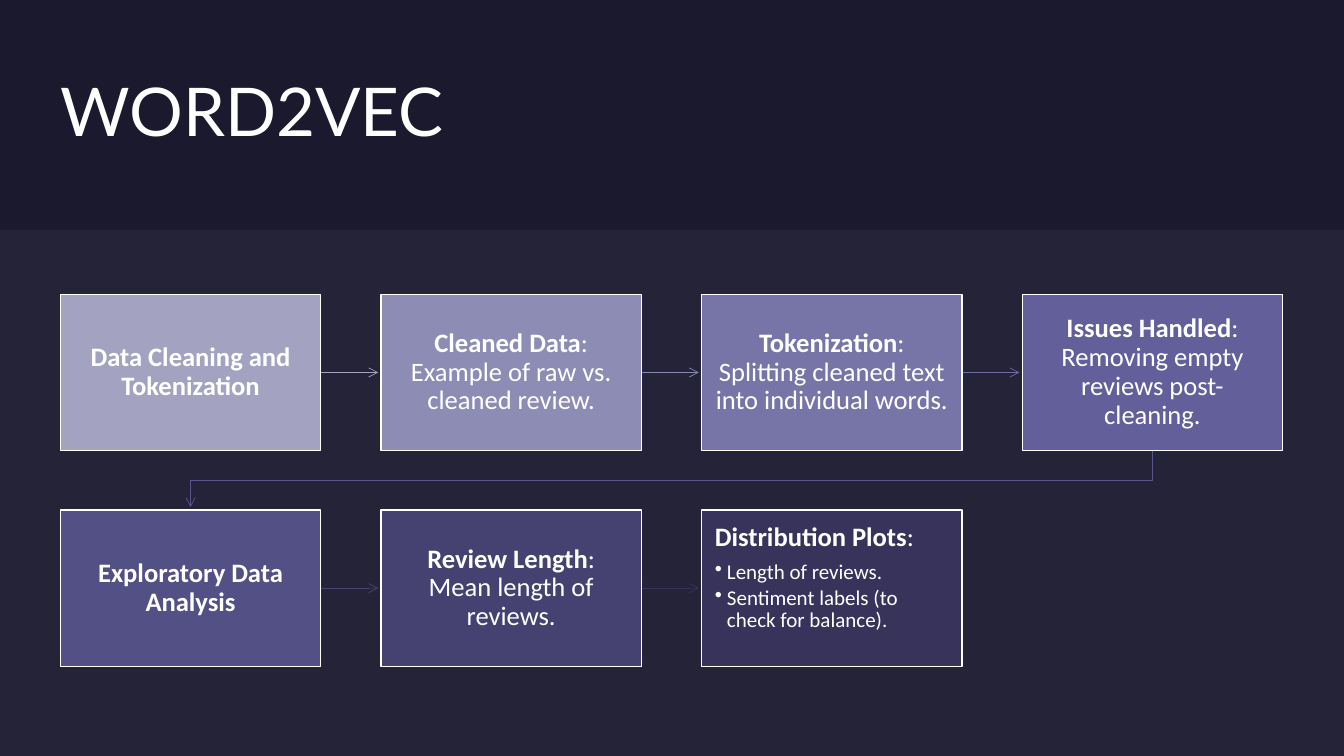
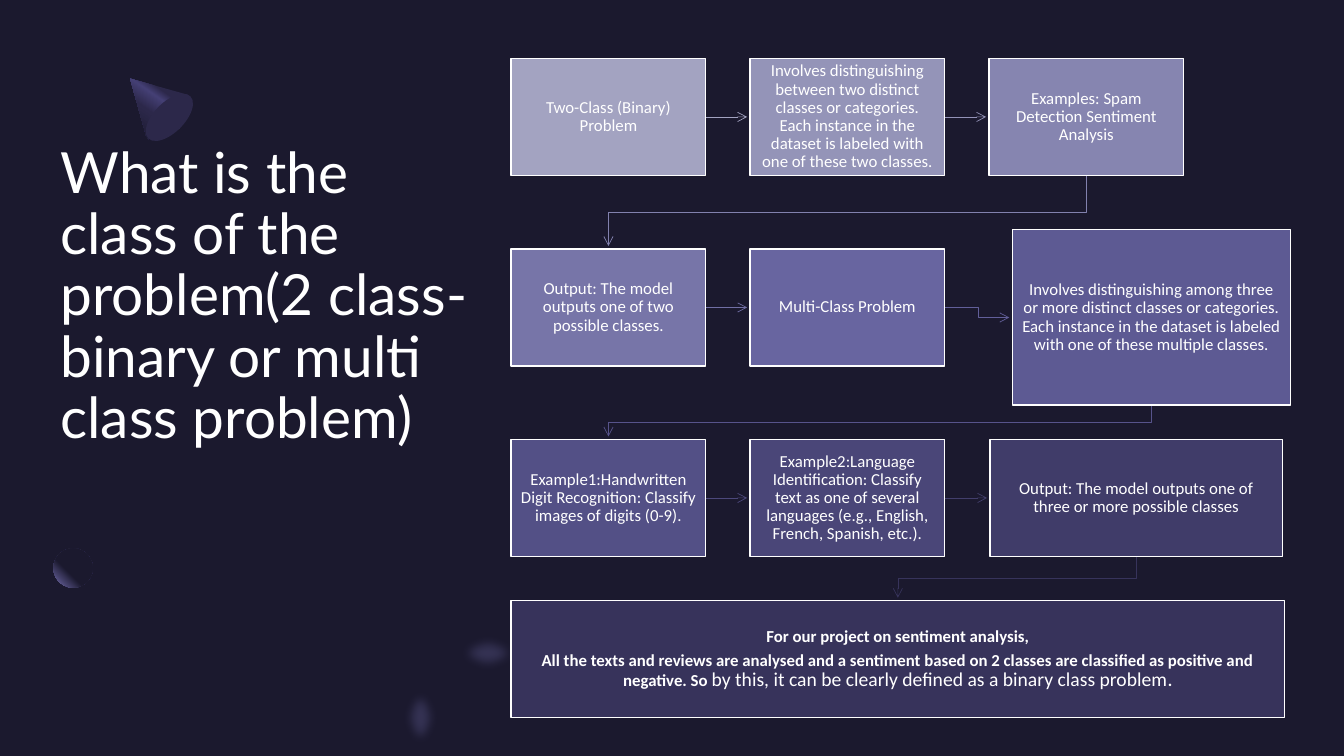
from dataclasses import dataclass

from lxml import etree
from pptx import Presentation
from pptx.dml.color import RGBColor
from pptx.enum import shapes as s, text as t
from pptx.oxml import parse_xml
from pptx.oxml.ns import nsdecls, qn
from pptx.util import Inches, Pt


@dataclass(frozen=True)
class Theme:
    back: str = "1B192E"
    band: str = "E4E3F0"
    white: str = "FFFFFF"
    dark: str = "2C284A"
    mid: str = "454075"
    glow: str = "7771B2"
    head: str = "Lato"
    body: str = "Calibri"
    big: float = 48
    long: float = 40.5
    step: float = 19
    item: float = 15
    small: float = 12
    note: float = 14


T = Theme()
GAP = 0.03  # space between an arrow tip and its box


@dataclass
class Step:
    box: tuple
    fill: str
    link: str  # colour of the arrow to the next step
    paras: list  # each paragraph is a list of (words, bold, size) runs


def rgb(code):
    return RGBColor.from_string(code)


# ---- Shared drawing helpers ----

def place(shape, box):
    shape.left, shape.top, shape.width, shape.height = map(Inches, box)


def paint(shape, code, alpha=None):
    shape.shadow.inherit = False
    shape.line.fill.background()
    shape.fill.solid()
    shape.fill.fore_color.rgb = rgb(code)
    if alpha is not None:
        tint = shape._element.spPr.find(".//" + qn("a:srgbClr"))
        etree.SubElement(tint, qn("a:alpha"), val=str(alpha * 1000))


def blend(shape, stops, way):
    """Swap the solid fill for a gradient; way is its direction element."""
    paint(shape, T.back)
    marks = "".join(f'<a:gs pos="{pos * 1000}"><a:srgbClr val="{code}"/></a:gs>'
                    for pos, code in stops)
    props = shape._element.spPr
    props.replace(props.find(qn("a:solidFill")), parse_xml(
        f'<a:gradFill {nsdecls("a")} rotWithShape="1">'
        f'<a:gsLst>{marks}</a:gsLst>{way}</a:gradFill>'))


def soften(shape, size):
    props = shape._element.spPr
    props.find(qn("a:effectLst")).append(parse_xml(
        f'<a:softEdge {nsdecls("a")} rad="{Inches(size)}"/>'))


def trace(slide, points, close):
    start, *rest = [(Inches(x), Inches(y)) for x, y in points]
    path = slide.shapes.build_freeform(*start)
    path.add_line_segments(rest, close=close)
    return path.convert_to_shape()


def style(para, size, font):
    para.line_spacing = 0.9
    para.font.name = font
    para.font.size = Pt(size)
    para.font.color.rgb = rgb(T.white)


def bullet(para):
    props = para._p.get_or_add_pPr()
    props.set("marL", str(Inches(0.12)))
    props.set("indent", str(Inches(-0.12)))
    etree.SubElement(props, qn("a:buChar"), char="•")


def title(slide, words, box, size):
    shape = slide.shapes.title
    place(shape, box)
    frame = shape.text_frame
    frame.text = words
    frame.word_wrap = True
    frame.auto_size = t.MSO_AUTO_SIZE.NONE
    frame.vertical_anchor = t.MSO_ANCHOR.MIDDLE
    frame.margin_left = frame.margin_right = 0
    frame.margin_top = frame.margin_bottom = 0
    para = frame.paragraphs[0]
    para.alignment = t.PP_ALIGN.LEFT
    style(para, size, T.head)


# ---- Flow chart parts ----

def card(slide, step, pad, listed=False):
    """One box; a listed box has a heading and bullets."""
    shape = slide.shapes.add_shape(s.MSO_SHAPE.RECTANGLE,
                                   *map(Inches, step.box))
    paint(shape, step.fill)
    shape.line.color.rgb = rgb(T.white)
    shape.line.width = Pt(1)
    frame = shape.text_frame
    frame.word_wrap = True
    frame.margin_left = frame.margin_right = Inches(pad[0])
    frame.margin_top = frame.margin_bottom = Inches(pad[1])
    frame.vertical_anchor = (t.MSO_ANCHOR.TOP if listed
                             else t.MSO_ANCHOR.MIDDLE)
    for row, runs in enumerate(step.paras):
        para = frame.add_paragraph() if row else frame.paragraphs[0]
        para.alignment = t.PP_ALIGN.LEFT if listed else t.PP_ALIGN.CENTER
        if row:
            share = 0.15 if listed and row > 1 else 0.35
            para.space_before = Pt(round(share * step.paras[row - 1][0][2], 1))
        if listed and row:
            bullet(para)
        style(para, runs[0][2], T.body)
        for words, bold, size in runs:
            run = para.add_run()
            run.text = words
            run.font.bold = bold
            if size != runs[0][2]:
                run.font.size = Pt(size)


def route(a, b):
    """Points from box a to box b: across in a row, else down and back."""
    ax, ay, aw, ah = a
    bx, by, bw, bh = b
    if bx > ax + aw:
        x, y, end = ax + aw, ay + ah / 2, by + bh / 2
        if abs(y - end) < 0.01:
            return [(x, y), (bx - GAP, y)]
        mid = (x + bx) / 2
        return [(x, y), (mid, y), (mid, end), (bx - GAP, end)]
    x, y, end = ax + aw / 2, ay + ah, bx + bw / 2
    mid = (y + by) / 2
    return [(x, y), (x, mid), (end, mid), (end, by - GAP)]


def arrow(slide, points, code):
    if len(points) == 2:
        line = slide.shapes.add_connector(
            s.MSO_CONNECTOR.STRAIGHT,
            *(Inches(n) for point in points for n in point))
        etree.SubElement(line._element.spPr, qn("a:effectLst"))
    else:
        line = trace(slide, points, False)
        line.shadow.inherit = False
        line.fill.background()
    line.line.color.rgb = rgb(code)
    line.line.width = Pt(0.5)
    etree.SubElement(line.line._get_or_add_ln(), qn("a:tailEnd"), type="arrow")


def flow(slide, steps, pad, listed=None):
    for a, b in zip(steps, steps[1:]):
        arrow(slide, route(a.box, b.box), a.link)
    for step in steps:
        card(slide, step, pad, step is listed)


# ---- Slide 1: process in two rows ----

def process(slide):
    title(slide, "WORD2VEC", (0.6, 0.6, 7.99, 1.08), T.big)
    band = slide.shapes.add_shape(
        s.MSO_SHAPE.RECTANGLE, *map(Inches, (0, 2.28, 13.33, 5.22)))
    paint(band, T.band, 5)

    rows = [
        ("A3A3C1", "A3A3C1", "Data Cleaning and Tokenization", ""),
        ("8D8CB4", "8988B1", "Cleaned Data",
         ": Example of raw vs. cleaned review."),
        ("7775A8", "6E6CA3", "Tokenization",
         ": Splitting cleaned text into individual words."),
        ("625F9A", "59568E", "Issues Handled",
         ": Removing empty reviews post-cleaning."),
        ("535086", "484475", "Exploratory Data Analysis", ""),
        ("454171", "37335B", "Review Length", ": Mean length of reviews."),
        ("37335B", "", "Distribution Plots", ":"),
    ]
    steps = []
    for n, (fill, link, lead, rest) in enumerate(rows):
        row, col = divmod(n, 4)
        runs = [(lead, True, T.step)]
        if rest:
            runs.append((rest, False, T.step))
        box = (0.6 + col * 3.18, 2.92 + row * 2.14, 2.58, 1.55)
        steps.append(Step(box, fill, link, [runs]))
    plots = steps[-1]
    for words in ("Length of reviews.",
                  "Sentiment labels (to check for balance)."):
        plots.paras.append([(words, False, T.item)])
    flow(slide, steps, (0.13, 0.13), plots)


# ---- Slide 2: title at left, steps at right ----

def decor(slide):
    # Cone
    cone = trace(slide, [(1.29, 0.78), (1.86, 0.94), (1.88, 0.96),
                         (1.78, 1.27), (1.47, 1.38), (1.45, 1.35)], True)
    blend(cone, [(30, T.dark), (40, T.mid), (60, T.dark), (100, T.back)],
          '<a:lin ang="7500000" scaled="0"/>')

    def oval(box):
        return slide.shapes.add_shape(s.MSO_SHAPE.OVAL, *map(Inches, box))

    base = oval((1.53, 0.87, 0.3, 0.59))
    base.rotation = 45
    paint(base, T.dark)
    # Ball
    blend(oval((0.53, 5.44, 0.39, 0.39)), [(60, T.back), (100, T.glow)],
          '<a:path path="circle"><a:fillToRect l="100000" b="100000"/></a:path>')
    # Soft glows
    for box in ((4.5, 6.28, 0.68, 0.4), (3.97, 6.78, 0.4, 0.68)):
        glow = oval(box)
        paint(glow, T.glow, 30)
        soften(glow, 0.1)


def classes(slide):
    title(slide, "What is the class of the problem(2 class-binary or multi "
          "class problem)", (0.6, 1.35, 4.09, 3.2), T.long)
    decor(slide)

    rows = [
        ("A3A3C1", "A3A3C1", "Two-Class (Binary) Problem"),
        ("9494B8", "9392B7", "Involves distinguishing between two distinct "
         "classes or categories. Each instance in the dataset is labeled "
         "with one of these two classes."),
        ("8685B0", "8281AE", "Examples: Spam Detection Sentiment Analysis"),
        ("7775A8", "716FA5",
         "Output: The model outputs one of two possible classes."),
        ("6865A0", "625F9A", "Multi-Class Problem"),
        ("5D5A93", "57538B", "Involves distinguishing among three or more "
         "distinct classes or categories. Each instance in the dataset is "
         "labeled with one of these multiple classes."),
        ("535086", "4C487B", "Example1:Handwritten Digit Recognition: "
         "Classify images of digits (0-9)."),
        ("4A4678", "423E6B", "Example2:Language Identification: Classify "
         "text as one of several languages (e.g., English, French, Spanish, "
         "etc.)."),
        ("403C69", "37335B",
         "Output: The model outputs one of three or more possible classes"),
    ]
    wide = {5: (10.04, 2.28, 2.76, 1.74), 8: (9.82, 4.36, 2.9, 1.16)}
    steps = []
    for n, (fill, link, words) in enumerate(rows):
        row, col = divmod(n, 3)
        box = (5.07 + col * 2.37, 0.58 + row * 1.89, 1.93, 1.16)
        steps.append(Step(wide.get(n, box), fill, link,
                          [[(words, False, T.small)]]))
    steps.append(Step((5.07, 5.96, 7.67, 1.16), "37335B", "", [
        [("For our project on sentiment analysis,", True, T.small)],
        [("All the texts and reviews are analysed and a sentiment based on "
          "2 classes are classified as positive and negative. So ",
          True, T.small),
         ("by this, it can be clearly defined as a binary class problem",
          False, T.note),
         (".", True, T.small)]]))
    flow(slide, steps, (0.09, 0.1))


def main():
    deck = Presentation()
    deck.slide_width, deck.slide_height = Inches(13.33), Inches(7.5)
    back = deck.slide_master.background.fill
    back.solid()
    back.fore_color.rgb = rgb(T.back)
    for build in (process, classes):
        build(deck.slides.add_slide(deck.slide_layouts[5]))
    deck.save("out.pptx")


if __name__ == "__main__":
    main()
